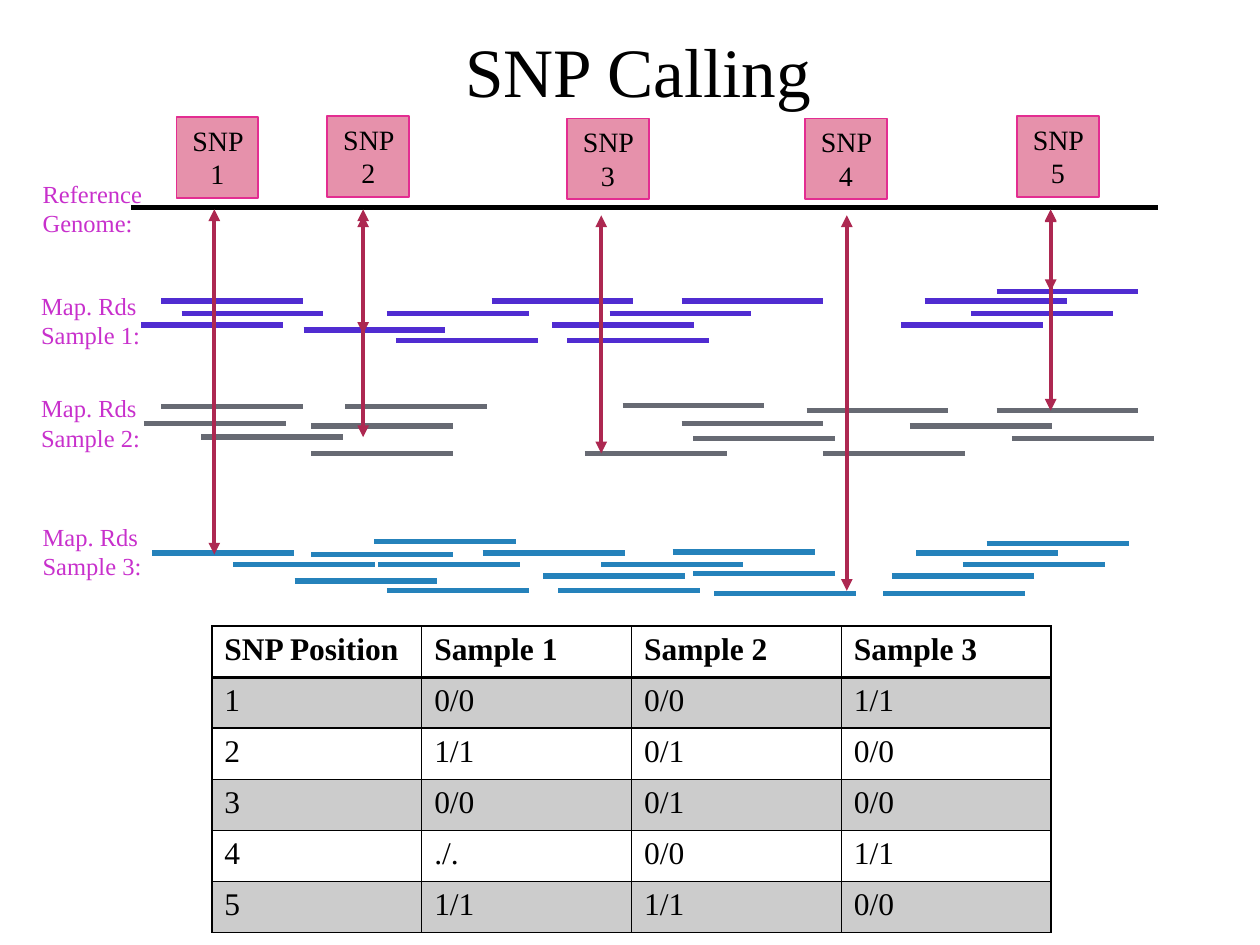
from lxml import etree
from pptx import Presentation
from pptx.dml.color import RGBColor
from pptx.enum.shapes import MSO_CONNECTOR, MSO_SHAPE
from pptx.enum.text import MSO_ANCHOR, MSO_AUTO_SIZE, PP_ALIGN
from pptx.oxml.ns import qn
from pptx.util import Cm, Pt

STRAIGHT = MSO_CONNECTOR.STRAIGHT
RECT = MSO_SHAPE.RECTANGLE
TOP, MIDDLE = MSO_ANCHOR.TOP, MSO_ANCHOR.MIDDLE
GROW, FIXED = MSO_AUTO_SIZE.SHAPE_TO_FIT_TEXT, MSO_AUTO_SIZE.NONE
LEFT, CENTER = PP_ALIGN.LEFT, PP_ALIGN.CENTER

BLACK = "000000"
READ_LENGTH = 2.86

LABELS = [
    ("Reference Genome:", 0.61, 3.48, 2.84),
    ("Map. Rds\nSample 1:", 0.58, 5.74, 2.92),
    ("Map. Rds\nSample 2:", 0.58, 7.8, 2.72),
    ("Map. Rds\nSample 3:", 0.61, 10.39, 2.72),
]

READS = {
    "502CD1": {
        5.87: [20.09],
        6.07: [3.25, 9.91, 13.74, 18.64],
        6.32: [3.66, 7.8, 12.29, 19.58],
        6.55: [2.84, 11.13, 18.16],
        6.65: [6.12],
        6.86: [7.98, 11.43],
    },
    "676A73": {
        8.18: [12.55],
        8.2: [3.25, 6.96],
        8.28: [16.26, 20.09],
        8.53: [2.9, 13.74],
        8.59: [6.27, 18.34],
        8.81: [4.06],
        8.84: [13.97, 20.4],
        9.14: [6.27, 11.79, 16.59],
    },
    "2582BB": {
        10.92: [7.54],
        10.95: [19.89],
        11.13: [13.56],
        11.15: [3.07, 9.73, 18.47],
        11.18: [6.27],
        11.38: [4.7, 7.62, 12.12, 19.41],
        11.56: [13.97],
        11.61: [10.95, 17.98],
        11.71: [5.94],
        11.91: [7.8, 11.25],
        11.96: [14.4, 17.81],
    },
}

SNPS = [
    ("SNP 1", 3.56, 2.36, 4.32, [(4.22, 11.18)]),
    ("SNP \n2", 6.6, 2.34, 7.32, [(4.22, 8.81), (4.34, 6.73)]),
    ("SNP \n3", 11.43, 2.39, 12.12, [(4.34, 9.14)]),
    ("SNP \n4", 16.23, 2.39, 17.07, [(4.34, 11.91)]),
    ("SNP \n5", 20.5, 2.34, 21.18, [(4.22, 5.87), (4.24, 8.28)]),
]

GENOTYPES = [
    ["SNP Position", "Sample 1", "Sample 2", "Sample 3"],
    ["1", "0/0", "0/0", "1/1"],
    ["2", "1/1", "0/1", "0/0"],
    ["3", "0/0", "0/1", "0/0"],
    ["4", "./.", "0/0", "1/1"],
    ["5", "1/1", "1/1", "0/0"],
]


def rgb(value):
    return RGBColor.from_string(value)


def write(tf, text, size=18, color=BLACK, bold=False, align=LEFT,
          font="Times New Roman", spacing=None):
    for i, line in enumerate(text.split("\n")):
        p = tf.add_paragraph() if i else tf.paragraphs[0]
        p.alignment = align
        p.line_spacing = spacing
        r = p.add_run()
        r.text = line
        r.font.name = font
        r.font.size = Pt(size)
        r.font.bold = bold
        r.font.color.rgb = rgb(color)


class Deck:
    label_color = "C830CC"
    arrow_color = "AD2851"
    box_fill = "E691AB"
    box_line = "E32D91"

    def __init__(self, prs):
        self.s = prs.slides.add_slide(prs.slide_layouts[5])

    def title(self, text, x, y, w, h):
        sp = self.s.shapes.title
        sp.left, sp.top, sp.width, sp.height = Cm(x), Cm(y), Cm(w), Cm(h)
        tf = sp.text_frame
        tf.auto_size = FIXED
        tf.vertical_anchor = MIDDLE
        write(tf, text, size=39.6, align=CENTER, spacing=0.9)

    def label(self, text, x, y, w):
        sp = self.s.shapes.add_textbox(Cm(x), Cm(y), Cm(w), Cm(1.45))
        tf = sp.text_frame
        tf.word_wrap = True
        tf.auto_size = GROW
        write(tf, text, size=14, color=self.label_color)

    def line(self, x1, y1, x2, y2, color, width=3):
        sp = self.s.shapes.add_connector(STRAIGHT, Cm(x1), Cm(y1), Cm(x2), Cm(y2))
        sp.line.color.rgb = rgb(color)
        sp.line.width = Pt(width)
        etree.SubElement(sp._element.spPr, qn("a:effectLst"))
        return sp

    def arrow(self, x, y1, y2):
        sp = self.line(x, y1, x, y2, self.arrow_color, 2.25)
        ln = sp.line._get_or_add_ln()
        for end in ("a:headEnd", "a:tailEnd"):
            etree.SubElement(ln, qn(end), type="triangle")

    def box(self, text, x, y):
        sp = self.s.shapes.add_shape(RECT, Cm(x), Cm(y), Cm(1.65), Cm(1.63))
        sp.shadow.inherit = False
        sp.fill.solid()
        sp.fill.fore_color.rgb = rgb(self.box_fill)
        sp.line.color.rgb = rgb(self.box_line)
        sp.line.width = Pt(1)
        tf = sp.text_frame
        tf.word_wrap = True
        tf.auto_size = GROW
        tf.vertical_anchor = TOP
        write(tf, text, size=16, align=CENTER)

    def border(self, cell, widths):
        tc_pr = cell._tc.get_or_add_tcPr()
        for i, (side, width) in enumerate(widths.items()):
            ln = etree.Element(qn(f"a:ln{side}"), w=str(Pt(width)))
            fill = etree.SubElement(ln, qn("a:solidFill"))
            etree.SubElement(fill, qn("a:srgbClr"), val=BLACK)
            tc_pr.insert(i, ln)

    def shade(self, cell, alpha):
        cell.fill.solid()
        cell.fill.fore_color.rgb = rgb(BLACK)
        clr = cell._tc.tcPr.find(".//" + qn("a:srgbClr"))
        etree.SubElement(clr, qn("a:alpha"), val=str(alpha * 1000))

    def table(self, rows, x, y, col_w, row_h):
        n, m = len(rows), len(rows[0])
        table = self.s.shapes.add_table(
            n, m, Cm(x), Cm(y), Cm(m * col_w), Cm(n * row_h)).table
        for i, row in enumerate(rows):
            for j, text in enumerate(row):
                cell = table.cell(i, j)
                write(cell.text_frame, text, bold=i == 0)
                if i % 2:
                    self.shade(cell, 20)
                else:
                    cell.fill.background()
                self.border(cell, {"L": 1, "R": 1, "T": 2 if i == 1 else 1,
                                   "B": 2 if i == 0 else 1})


def main():
    prs = Presentation()
    prs.slide_width, prs.slide_height = Cm(25.4), Cm(19.05)
    deck = Deck(prs)
    deck.title("SNP Calling", 2.39, 0.71, 20.96, 1.6)
    deck.line(2.64, 4.19, 23.34, 4.19, BLACK)
    for label in LABELS:
        deck.label(*label)
    for color, levels in READS.items():
        for y, starts in levels.items():
            for x in starts:
                deck.line(x, y, x + READ_LENGTH, y, color)
    deck.table(GENOTYPES, 4.27, 12.62, 4.23, 1.03)
    for text, x, y, arrow_x, spans in SNPS:
        for y1, y2 in spans:
            deck.arrow(arrow_x, y1, y2)
        deck.box(text, x, y)
    prs.save("out.pptx")


if __name__ == "__main__":
    main()
